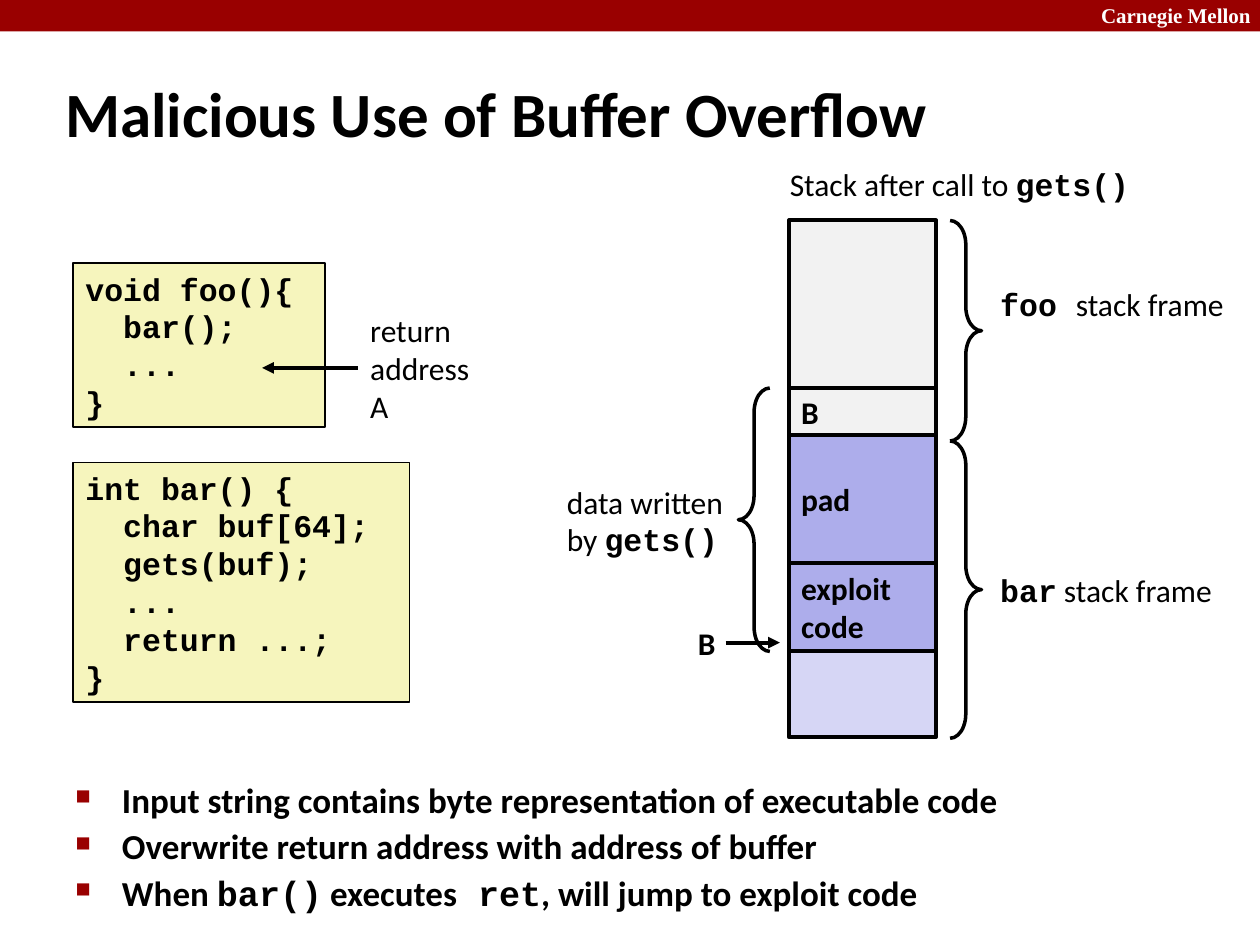
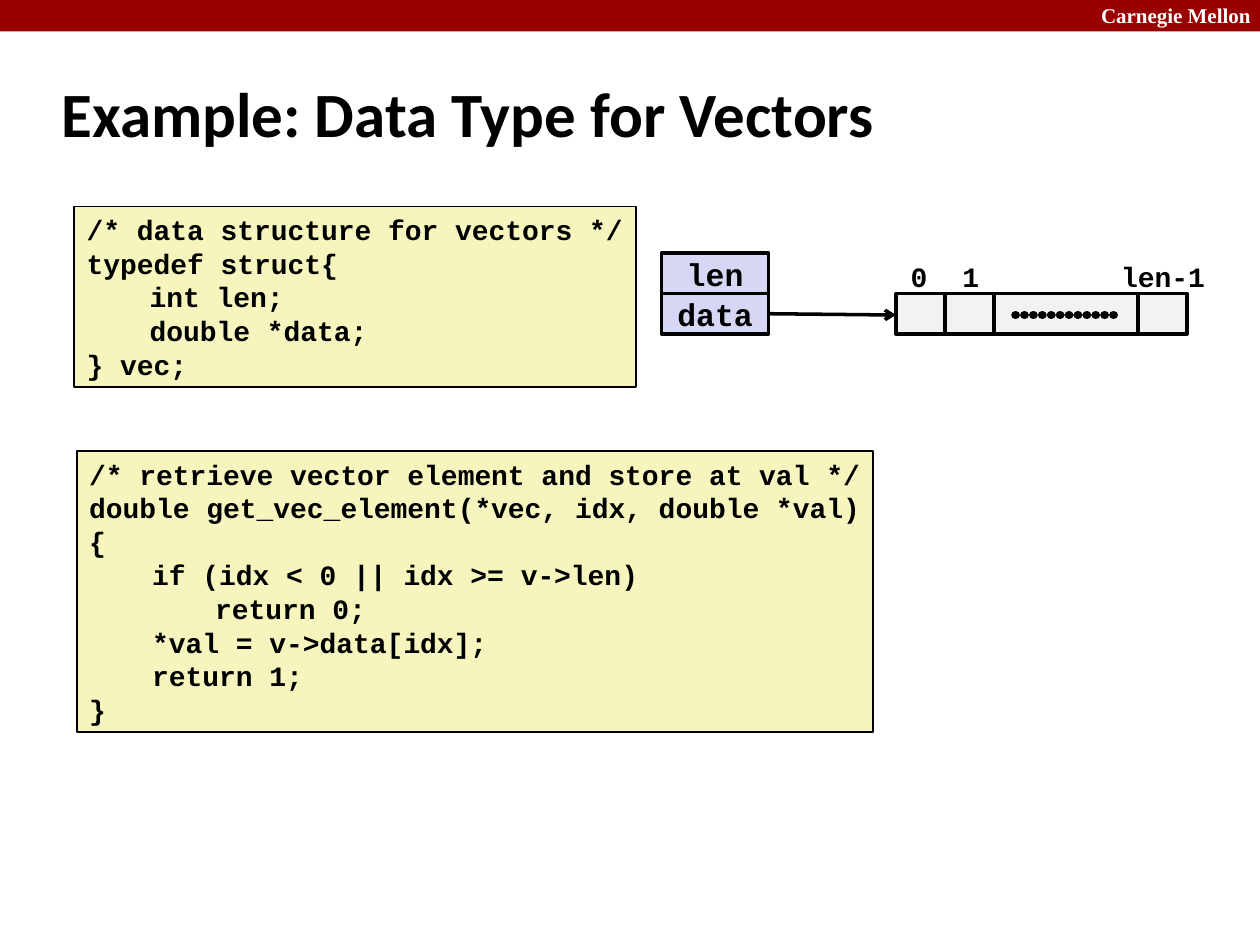
"""Build two slides on buffer overflow and a vector data type."""
import dataclasses
import itertools

import pptx
import pptx.dml.color
import pptx.enum.shapes
import pptx.enum.text
import pptx.oxml
import pptx.oxml.ns
import pptx.util

SHAPES = pptx.enum.shapes.MSO_SHAPE
ANCHOR = pptx.enum.text.MSO_ANCHOR
ALIGN = pptx.enum.text.PP_ALIGN
COLUMNS, ROWS = 100, 75


@dataclasses.dataclass(frozen=True)
class Theme:
    """Colours, fonts and type sizes of both slides."""
    band: str = "990000"
    ink: str = "000000"
    paper: str = "FFFFFF"
    code_fill: str = "F6F5BD"
    gray: str = "F2F2F2"
    lilac: str = "D6D6F5"
    violet: str = "ADADEB"
    sans: str = "Calibri"
    mono: str = "Courier New"
    serif: str = "Times New Roman"
    title: int = 36
    bullet: int = 20
    label: int = 18
    code: int = 16
    header: int = 12


THEME = Theme()


@dataclasses.dataclass(frozen=True)
class Style:
    """Look of the text in one box."""
    size: int = THEME.label
    font: str = THEME.sans
    bold: bool = False
    color: str = THEME.ink
    align: ALIGN = ALIGN.LEFT
    anchor: ANCHOR = ANCHOR.MIDDLE
    leading: float = 0


LABEL = Style()
STRONG = Style(bold=True)
CODE = Style(font=THEME.mono, bold=True, anchor=ANCHOR.TOP, leading=1.2)
FIELD = Style(font=THEME.mono, bold=True, align=ALIGN.CENTER)


def grid(units):
    """Turn grid units into a length; the slide has 100 by 75 units."""
    return pptx.util.Inches(units / 10)


def rgb(color):
    """Turn a hex string into a colour."""
    return pptx.dml.color.RGBColor.from_string(color)


def add_xml(parent, tag, **attributes):
    """Append a drawing element to a parent and return it."""
    child = parent.makeelement(pptx.oxml.ns.qn(tag), attributes)
    parent.append(child)
    return child


def set_font(font, style, name=None, bold=None):
    """Apply a text style to a font, optionally with another face."""
    font.name = name or style.font
    font.bold = style.bold if bold is None else bold
    font.size = pptx.util.Pt(style.size)
    font.color.rgb = rgb(style.color)


def write(shape, lines, style):
    """Write lines; a line is a string or a list of (text, is_code) pairs."""
    frame = shape.text_frame
    frame.word_wrap = True
    frame.vertical_anchor = style.anchor
    frame.margin_left = grid(1 if style.align == ALIGN.LEFT else 0)
    frame.margin_right = 0
    frame.margin_top = frame.margin_bottom = grid(0.5)
    for index, line in enumerate(lines):
        paragraph = frame.add_paragraph() if index else frame.paragraphs[0]
        paragraph.alignment = style.align
        if style.leading:
            paragraph.line_spacing = pptx.util.Pt(style.size * style.leading)
        if isinstance(line, str):
            paragraph.add_run().text = line
            set_font(paragraph.font, style)
            continue
        for text, is_code in line:
            run = paragraph.add_run()
            run.text = text
            set_font(run.font, style, THEME.mono if is_code else None, is_code or style.bold)


def add_text(slide, left, top, width, height, lines, style=LABEL):
    """Add a plain text box."""
    shape = slide.shapes.add_textbox(grid(left), grid(top), grid(width), grid(height))
    write(shape, lines, style)
    return shape


def add_box(slide, left, top, width, height, fill, line_width=2.25, lines=(), style=STRONG):
    """Add a filled rectangle with an outline and optional text."""
    shape = slide.shapes.add_shape(SHAPES.RECTANGLE, grid(left), grid(top), grid(width), grid(height))
    shape.shadow.inherit = False
    shape.fill.solid()
    shape.fill.fore_color.rgb = rgb(fill)
    if line_width:
        shape.line.color.rgb = rgb(THEME.ink)
        shape.line.width = pptx.util.Pt(line_width)
    else:
        shape.line.fill.background()
    write(shape, lines, style)


def add_code(slide, left, top, width, height, code, size):
    """Add a yellow code panel."""
    style = dataclasses.replace(CODE, size=size)
    add_box(slide, left, top, width, height, THEME.code_fill, 1, code.split("\n"), style)


def add_brace(slide, kind, left, top, bottom):
    """Add a curly brace that spans two heights."""
    shape = slide.shapes.add_shape(kind, grid(left), grid(top), grid(2.5), grid(bottom - top))
    shape.shadow.inherit = False
    shape.adjustments[0] = 0.77
    shape.fill.background()
    shape.line.color.rgb = rgb(THEME.ink)
    shape.line.width = pptx.util.Pt(2)


def add_line(slide, start, end, width, head=None, dotted=False):
    """Add a straight line with an optional arrowhead or round dots."""
    points = [grid(value) for value in (*start, *end)]
    connector = slide.shapes.add_connector(pptx.enum.shapes.MSO_CONNECTOR.STRAIGHT, *points)
    connector.line.color.rgb = rgb(THEME.ink)
    connector.line.width = pptx.util.Pt(width)
    outline = connector.line._get_or_add_ln()
    if dotted:
        outline.set("cap", "rnd")
        add_xml(add_xml(outline, "a:custDash"), "a:ds", d="100000", sp="2000")
    if head:
        add_xml(outline, "a:tailEnd", type=head)
    add_xml(connector._element.spPr, "a:effectLst")


def add_bullets(slide, left, top, width, height, lines):
    """Add a list with small square bullets."""
    style = Style(size=THEME.bullet, bold=True)
    shape = add_text(slide, left, top, width, height, lines, style)
    for index, paragraph in enumerate(shape.text_frame.paragraphs):
        paragraph.line_spacing = 0.9
        if index:
            paragraph.space_before = pptx.util.Pt(5)
        properties = paragraph._p.get_or_add_pPr()
        properties.set("marL", str(grid(3.7)))
        properties.set("indent", str(-grid(3.7)))
        bullet = [pptx.oxml.parse_xml(f"<a:{tag} {pptx.oxml.ns.nsdecls('a')}>{inner}</a:{name}>")
                  for tag, inner, name in (
                      ("buClr", f'<a:srgbClr val="{THEME.band}"/>', "buClr"),
                      ('buSzPct val="60000"', "", "buSzPct"),
                      ('buChar char="■"', "", "buChar"))]
        defaults = properties.find(pptx.oxml.ns.qn("a:defRPr"))
        for element in bullet:
            if defaults is None:
                properties.append(element)
            else:
                defaults.addprevious(element)


def add_slide(presentation, title, title_left):
    """Add a slide with the top band and a title."""
    slide = presentation.slides.add_slide(presentation.slide_layouts[6])
    add_box(slide, 0, 0, COLUMNS, 2.5, THEME.band, 0)
    add_text(slide, 86.4, -0.3, 14.3, 3, ["Carnegie Mellon"],
             Style(THEME.header, THEME.serif, True, THEME.paper, anchor=ANCHOR.TOP))
    add_text(slide, title_left, 4.8, 90, 8.3, [title], Style(THEME.title, bold=True))
    return slide


def add_stack(slide, left, width, top, cells):
    """Stack cells of (height, fill, lines) downwards."""
    for height, fill, lines in cells:
        add_box(slide, left, top, width, height, fill, lines=lines)
        top += height


def build_overflow(presentation):
    """Build the slide on the exploited stack."""
    slide = add_slide(presentation, "Malicious Use of Buffer Overflow", 4.2)
    add_bullets(slide, 5, 61.1, 90.3, 12.5, [
        "Input string contains byte representation of executable code",
        "Overwrite return address with address of buffer",
        [("When ", False), ("bar()", True), (" executes", False), (" ret", True),
         (", will jump to exploit code", False)]])
    add_code(slide, 5.8, 20.9, 20, 13, "void foo(){\n  bar();\n  ...\n}", THEME.label)
    add_code(slide, 5.8, 36.7, 26.7, 19,
             "int bar() {\n  char buf[64];\n  gets(buf);\n  ...\n  return ...;\n}", THEME.label)
    add_text(slide, 28.4, 24.2, 12, 10, ["return", "address", "A"])
    add_line(slide, (28.4, 29.2), (20.8, 29.2), 2.25, "triangle")
    add_text(slide, 61.7, 12.6, 32, 4, [[("Stack after call to ", False), ("gets()", True)]])
    add_stack(slide, 62.6, 11.7, 17.5, [
        (13.3, THEME.gray, []),
        (3.75, THEME.gray, ["B"]),
        (10.15, THEME.violet, ["pad"]),
        (7, THEME.violet, ["exploit", "code"]),
        (6.8, THEME.lilac, [])])
    add_text(slide, 78.4, 22.1, 21, 4, [[("foo ", True), ("stack frame", False)]])
    add_text(slide, 78.4, 44.8, 21, 4, [[("bar", True), (" stack frame", False)]])
    add_text(slide, 44, 37.8, 15, 7, ["data written", [("by ", False), ("gets()", True)]])
    add_text(slide, 54.4, 49, 3.4, 4, ["B"], STRONG)
    add_line(slide, (57.6, 51), (61.9, 51), 2.25, "triangle")
    add_brace(slide, SHAPES.RIGHT_BRACE, 75.4, 17.5, 35)
    add_brace(slide, SHAPES.RIGHT_BRACE, 75.4, 35, 58.6)
    add_brace(slide, SHAPES.LEFT_BRACE, 58.6, 30.8, 51.7)


def build_vectors(presentation):
    """Build the slide on the vector structure."""
    slide = add_slide(presentation, "Example: Data Type for Vectors", 3.9)
    add_code(slide, 5.9, 16.4, 44.6, 14.3,
             "/* data structure for vectors */\ntypedef struct{\n\tint len;\n\tdouble *data;\n} vec;",
             THEME.code)
    add_code(slide, 6.1, 35.8, 63.2, 22.3,
             "/* retrieve vector element and store at val */\n"
             "double get_vec_element(*vec, idx, double *val)\n{\n"
             "\tif (idx < 0 || idx >= v->len)\n\t\treturn 0;\n"
             "\t*val = v->data[idx];\n\treturn 1;\n}", THEME.code)
    row_height, array_top = 3.2, 23.3
    for row, field in enumerate(("len", "data")):
        add_box(slide, 52.5, array_top + (row - 1) * row_height, 8.5, row_height,
                THEME.lilac, 2, [field], FIELD)
    edges = (71.1, 75, 78.9, 90.3, 94.2)
    for left, right in itertools.pairwise(edges):
        add_box(slide, left, array_top, right - left, row_height, THEME.gray, 2)
    index_style = dataclasses.replace(FIELD, size=THEME.code, anchor=ANCHOR.TOP)
    for center, index in ((72.95, "0"), (77.05, "1"), (92.3, "len-1")):
        add_text(slide, center - 4.3, 20.1, 8.6, 3.7, [index], index_style)
    add_line(slide, (61, 24.9), (71.1, 25), 2, "arrow")
    add_line(slide, (80.6, 25), (88.6, 25), 5, dotted=True)


def main():
    """Build and save the presentation."""
    presentation = pptx.Presentation()
    presentation.slide_width = grid(COLUMNS)
    presentation.slide_height = grid(ROWS)
    build_overflow(presentation)
    build_vectors(presentation)
    presentation.save("out.pptx")


if __name__ == "__main__":
    main()
